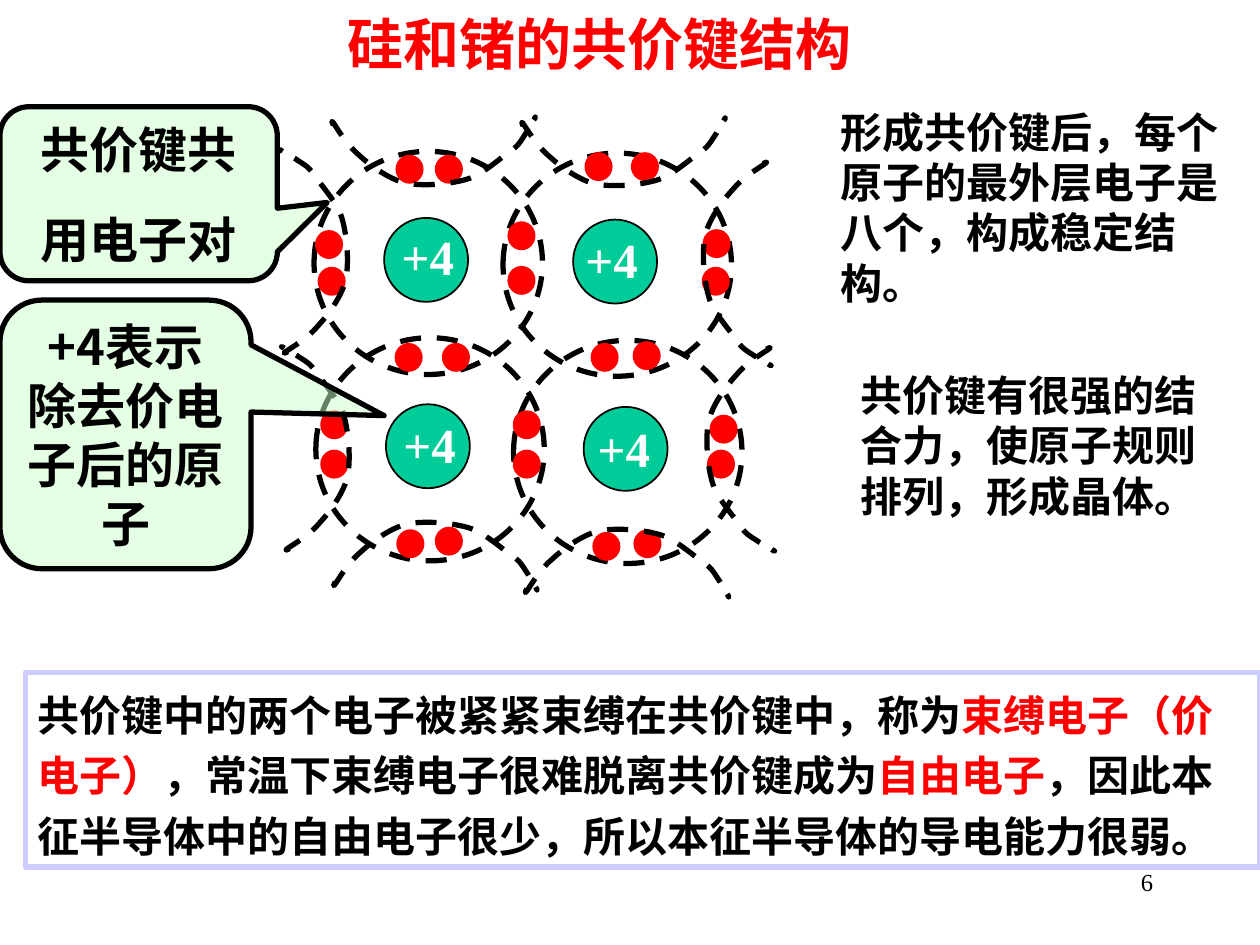
from lxml import etree
from pptx import Presentation
from pptx.dml.color import RGBColor
from pptx.enum.dml import MSO_LINE
from pptx.enum.shapes import MSO_SHAPE
from pptx.enum.text import MSO_ANCHOR, PP_ALIGN
from pptx.oxml.ns import qn
from pptx.util import Pt

LEFT, CENTER, RIGHT = PP_ALIGN.LEFT, PP_ALIGN.CENTER, PP_ALIGN.RIGHT
TOP, MIDDLE = MSO_ANCHOR.TOP, MSO_ANCHOR.MIDDLE
OVAL, RECT = MSO_SHAPE.OVAL, MSO_SHAPE.RECTANGLE
CALLOUT = MSO_SHAPE.ROUNDED_RECTANGULAR_CALLOUT
DASH = MSO_LINE.DASH

SERIF, SANS = "Times New Roman", "Noto Sans CJK SC"
COLORS = {"black": "000000", "white": "FFFFFF", "red": "FF0000",
          "green": "00CC99", "mint": "CCFFCC", "lilac": "CCCCFF"}

# Content: a text is a list of paragraphs, a paragraph a list of (text, color)
TITLE = [[("硅和锗的共价键结构", "red")]]
PAGE = [[("6", "black")]]
SHARED_PAIR = [[("共价键共", "black")], [("用电子对", "black")]]
ION_NOTE = [[("+4表示除去价电子后的原子", "black")]]
ION = [[("+4", "white")]]
STABLE = [[("形成共价键后，每个原子的最外层电子是八个，构成稳定结构。", "black")]]
CRYSTAL = [[("共价键有很强的结合力，使原子规则排列，形成晶体。", "black")]]
SUMMARY = [[
    ("共价键中的两个电子被紧紧束缚在共价键中，称为", "black"),
    ("束缚电子（价电子）", "red"),
    ("，常温下束缚电子很难脱离共价键成为", "black"),
    ("自由电子", "red"),
    ("，因此本征半导体中的自由电子很少，所以本征半导体的导电能力很弱。", "black"),
]]

# Lattice: nucleus left, top and the label's shift to the right and down
NUCLEI = [(219.5, 124.5, 3, 1.5), (327.5, 125.5, 0, 2),
          (220.5, 231, 3, 2.5), (333.5, 232.5, 1, 3)]
ELECTRON_PAIRS = [
    # bonds in rows
    ((227.5, 90), (250, 90)), ((335.5, 88.5), (362, 88.5)),
    ((227, 197.5), (254, 197.5)), ((339, 197.5), (363, 196.5)),
    ((228, 304), (250, 302.5)), ((340, 305.5), (363.5, 304)),
    # bonds in columns
    ((181.5, 133), (183, 154)), ((184.5, 236), (184.5, 258.5)),
    ((291.5, 128), (291.5, 153.5)), ((294.5, 236), (294.5, 258.5)),
    ((403, 132.5), (402.5, 154)), ((407, 238.5), (405.5, 258.5)),
]

# Outer arcs of neighbouring atoms: flip x, flip y, rotation, positions
ARC_W, ARC_H = 40.5, 117.5
ARC_START = (35, 2)
ARC_CURVES = [
    ((35, 2), (39, 0), (36, 2.2)),
    ((33, 4.3), (24, 9.4), (18, 16.5)), ((12, 23), (5, 32.5), (2, 42.5)),
    ((0, 52.5), (1, 67.5), (4, 78)), ((6.5, 87), (16, 97), (19.5, 102.5)),
    ((23.5, 108), (25, 108.5), (28.8, 111)), ((31.5, 113), (36, 115), (38, 116.5)),
    ((40, 117.5), (40, 117.5), (39.5, 117.5)),
    ((39.5, 117.5), (38, 116.5), (38, 116.5)),
]
ARCS = [
    (1, 1, 0, [(401, 91.5), (403, 197.5)]),
    (1, 1, 270, [(227, 27.5), (335.5, 28)]),
    (1, -1, 90, [(228, 259), (337.5, 263)]),
    (-1, -1, 0, [(159, 85.5), (160, 198)]),
]


def rgb(name):
    return RGBColor.from_string(COLORS[name])


def put_text(sp, paragraphs, size=24, font=SERIF, bold=True, align=LEFT,
             anchor=MIDDLE, before=0, spacing=None):
    tf = sp.text_frame
    tf.word_wrap = True
    tf.vertical_anchor = anchor
    for i, runs in enumerate(paragraphs):
        p = tf.paragraphs[0] if i == 0 else tf.add_paragraph()
        p.alignment = align
        p._p.get_or_add_pPr().set("hangingPunct", "0")
        if i:
            p.space_before = Pt(before)
        if spacing:
            p.line_spacing = spacing
        for text, color in runs:
            r = p.add_run()
            r.text = text
            r.font.size, r.font.bold, r.font.name = Pt(size), bold, font
            r.font.color.rgb = rgb(color)
            etree.SubElement(r.font._element, qn("a:ea"), typeface=SANS)


def add_text(shapes, box, paragraphs, **fmt):
    put_text(shapes.add_textbox(*map(Pt, box)), paragraphs, **fmt)


def style(sp, fill=None, line="black", width=3, dash=None):
    sp.shadow.inherit = False
    if fill:
        sp.fill.solid()
        sp.fill.fore_color.rgb = rgb(fill)
    else:
        sp.fill.background()
    sp.line.color.rgb = rgb(line)
    sp.line.width = Pt(width)
    if dash:
        sp.line.dash_style = dash


def add_shape(shapes, kind, box, **look):
    sp = shapes.add_shape(kind, *map(Pt, box))
    style(sp, **look)
    return sp


def add_callout(shapes, box, tip, paragraphs, **fmt):
    sp = add_shape(shapes, CALLOUT, box, fill="mint")
    sp.adjustments[0], sp.adjustments[1] = tip
    color = sp.fill._xPr.find(".//" + qn("a:srgbClr"))
    etree.SubElement(color, qn("a:alpha"), val="50000")
    put_text(sp, paragraphs, size=28, align=CENTER, before=17.5, **fmt)


def add_arc(shapes, left, top, flip_x, flip_y, rotation):
    # The frame comes from its diagonal, then curves replace the straight line
    builder = shapes.build_freeform(Pt(left), Pt(top))
    builder.add_line_segments([(Pt(left + ARC_W), Pt(top + ARC_H))], close=False)
    sp = builder.convert_to_shape()
    outline = sp._element.find(".//" + qn("a:path"))
    for step in list(outline):
        outline.remove(step)
    for tag, points in [("a:moveTo", [ARC_START])] + [
            ("a:cubicBezTo", curve) for curve in ARC_CURVES]:
        step = etree.SubElement(outline, qn(tag))
        for x, y in points:
            x = x if flip_x > 0 else ARC_W - x
            y = y if flip_y > 0 else ARC_H - y
            etree.SubElement(step, qn("a:pt"), x=str(Pt(x)), y=str(Pt(y)))
    style(sp, dash=DASH)
    sp.rotation = rotation


def add_lattice(shapes):
    for x, y, _, _ in NUCLEI:
        add_shape(shapes, OVAL, (x, y, 48, 48), fill="green", width=1)
        add_shape(shapes, OVAL, (x - 40, y - 38, 130.5, 127.5), dash=DASH)
    for pair in ELECTRON_PAIRS:
        for x, y in pair:
            add_shape(shapes, OVAL, (x, y, 13, 13.5), fill="red", line="red")
    for flip_x, flip_y, rotation, places in ARCS:
        for x, y in places:
            add_arc(shapes, x, y, flip_x, flip_y, rotation)
    for x, y, right, down in NUCLEI:
        add_text(shapes, (x + right, y + down, 55.5, 41), ION, size=28, anchor=TOP)


def main():
    prs = Presentation()
    prs.slide_width, prs.slide_height = Pt(720), Pt(540)
    s = prs.slides.add_slide(prs.slide_layouts[6])

    # Page number
    add_text(s.shapes, (516, 492, 150, 36), PAGE, size=14, bold=False,
             align=RIGHT, anchor=TOP)

    # Crystal lattice between its two callouts
    add_callout(s.shapes, (0, 61, 158.5, 99.5), (0.68, 0.05), SHARED_PAIR)
    add_lattice(s.shapes.add_group_shape().shapes)
    add_callout(s.shapes, (0, 171.5, 143.5, 153.5), (1.03, -0.07), ION_NOTE, font=SANS)

    # Title and explanations
    add_text(s.shapes, (36.5, 0, 612, 49), TITLE, size=32, align=CENTER)
    add_text(s.shapes, (473, 71.5, 232.5, 93.5), STABLE)
    add_text(s.shapes, (484.5, 207.5, 215.5, 93.5), CRYSTAL)

    # Summary
    summary = add_shape(s.shapes, RECT, (14.5, 384.5, 705.5, 111), line="lilac")
    put_text(summary, SUMMARY, spacing=1.2)

    prs.save("out.pptx")


if __name__ == "__main__":
    main()
